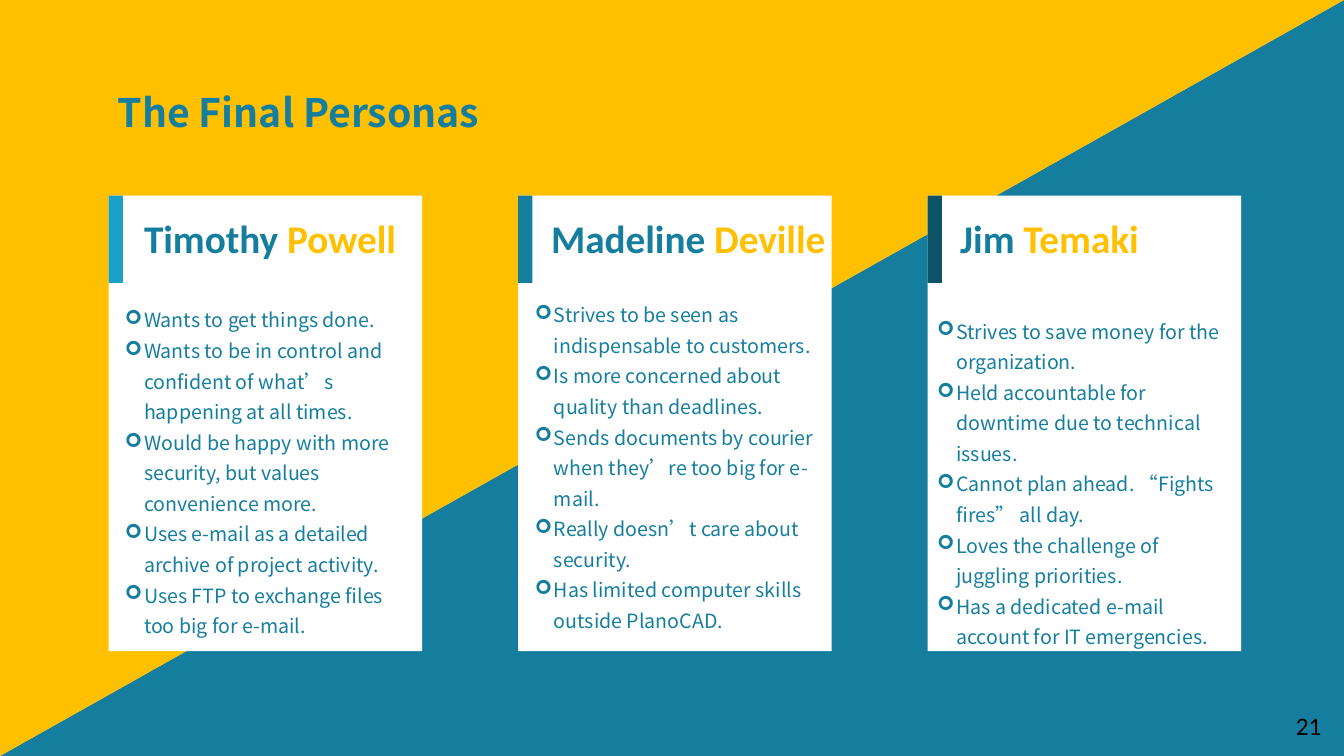
from dataclasses import dataclass

from lxml import etree
from pptx import Presentation
from pptx.dml.color import RGBColor
from pptx.enum.shapes import MSO_SHAPE
from pptx.enum.text import MSO_ANCHOR
from pptx.oxml.ns import qn
from pptx.util import Cm, Pt

RECT = MSO_SHAPE.RECTANGLE
TRIANGLE = MSO_SHAPE.ISOSCELES_TRIANGLE
TOP = MSO_ANCHOR.TOP
MIDDLE = MSO_ANCHOR.MIDDLE

TEAL = "157E9F"
GOLD = "FFC000"
WHITE = "FFFFFF"
BLACK = "000000"

SLIDE_W, SLIDE_H = 33.87, 19.05
CARD_LEFT, CARD_TOP, CARD_STEP = 2.74, 4.93, 10.32
CARD_W, CARD_H = 7.9, 11.48
TAB_W, TAB_H = 0.36, 2.2
INDENT = 0.48

TITLE = {"name": "Noto Sans CJK SC", "size": Pt(28), "bold": True}
NAME = {"name": "Calibri", "size": Pt(28), "bold": True}
BODY = {"name": "Noto Sans CJK SC", "size": Pt(14), "bold": False}
NUMBER = {"name": "Calibri", "size": Pt(18), "bold": False}


@dataclass
class Box:
    left: float
    top: float
    width: float
    height: float

    def lengths(self) -> list:
        return [Cm(v) for v in (self.left, self.top, self.width, self.height)]


@dataclass
class Persona:
    first: str
    last: str
    tab_color: str
    name_box: Box
    traits_box: Box
    traits: list[str]


PERSONAS = [
    Persona(
        "Timothy", "Powell", "1BA0C9",
        Box(3.38, 5.28, 7.16, 1.45), Box(2.9, 7.47, 7.77, 8.81),
        [
            "Wants to get things done.",
            "Wants to be in control and confident of what’s happening at all times.",
            "Would be happy with more security, but values convenience more.",
            "Uses e-mail as a detailed archive of project activity.",
            "Uses FTP to exchange files too big for e-mail.",
        ],
    ),
    Persona(
        "Madeline", "Deville", TEAL,
        Box(13.64, 5.28, 7.7, 1.45), Box(13.23, 7.34, 7.75, 8.81),
        [
            "Strives to be seen as indispensable to customers.",
            "Is more concerned about quality than deadlines.",
            "Sends documents by courier when they’re too big for e-mail.",
            "Really doesn’t care about security.",
            "Has limited computer skills outside PlanoCAD.",
        ],
    ),
    Persona(
        "Jim", "Temaki", "0D5267",
        Box(23.95, 5.28, 7.34, 1.45), Box(23.37, 7.75, 7.92, 8.81),
        [
            "Strives to save money for the organization.",
            "Held accountable for downtime due to technical issues.",
            "Cannot plan ahead. “Fights fires” all day.",
            "Loves the challenge of juggling priorities.",
            "Has a dedicated e-mail account for IT emergencies.",
        ],
    ),
]


def rgb(value: str) -> RGBColor:
    return RGBColor.from_string(value)


def add_shape(s, kind, box: Box, color: str):
    sp = s.shapes.add_shape(kind, *box.lengths())
    sp.shadow.inherit = False
    sp.fill.solid()
    sp.fill.fore_color.rgb = rgb(color)
    sp.line.fill.background()
    return sp


def add_text(s, box: Box, anchor=TOP):
    tf = s.shapes.add_textbox(*box.lengths()).text_frame
    tf.word_wrap = True
    tf.vertical_anchor = anchor
    return tf


def add_run(p, text: str, style: dict, color: str) -> None:
    r = p.add_run()
    r.text = text
    for key, value in style.items():
        setattr(r.font, key, value)
    r.font.color.rgb = rgb(color)
    ea = etree.SubElement(r.font._element, qn("a:ea"))
    ea.set("typeface", style["name"])


def add_bullet(p) -> None:
    pPr = p._p.get_or_add_pPr()
    pPr.set("marL", str(Cm(INDENT)))
    pPr.set("indent", str(-Cm(INDENT)))
    etree.SubElement(pPr, qn("a:buFont")).set("typeface", "Wingdings")
    etree.SubElement(pPr, qn("a:buChar")).set("char", "➢")


def add_background(s) -> None:
    for color, rotation in ((TEAL, 0), (GOLD, 180)):
        sp = add_shape(s, TRIANGLE, Box(0, 0, SLIDE_W, SLIDE_H), color)
        sp.adjustments[0] = 1
        sp.rotation = rotation


def add_persona(s, persona: Persona, left: float) -> None:
    add_shape(s, RECT, Box(left, CARD_TOP, CARD_W, CARD_H), WHITE)
    add_shape(s, RECT, Box(left, CARD_TOP, TAB_W, TAB_H), persona.tab_color)

    p = add_text(s, persona.name_box).paragraphs[0]
    add_run(p, persona.first + " ", NAME, TEAL)
    add_run(p, persona.last, NAME, GOLD)

    tf = add_text(s, persona.traits_box)
    for i, trait in enumerate(persona.traits):
        p = tf.add_paragraph() if i else tf.paragraphs[0]
        add_bullet(p)
        p.line_spacing = 1.3
        add_run(p, trait, BODY, TEAL)


def main() -> None:
    prs = Presentation()
    prs.slide_width, prs.slide_height = Cm(SLIDE_W), Cm(SLIDE_H)
    s = prs.slides.add_slide(prs.slide_layouts[6])
    add_background(s)

    p = add_text(s, Box(2.72, 2.36, 11.81, 1.07), MIDDLE).paragraphs[0]
    p.line_spacing = 0.9
    add_run(p, "The Final Personas", TITLE, TEAL)

    for i, persona in enumerate(PERSONAS):
        add_persona(s, persona, CARD_LEFT + i * CARD_STEP)

    p = add_text(s, Box(32.41, 17.78, 1.45, 1.02)).paragraphs[0]
    add_run(p, "21", NUMBER, BLACK)
    prs.save("out.pptx")


if __name__ == "__main__":
    main()
